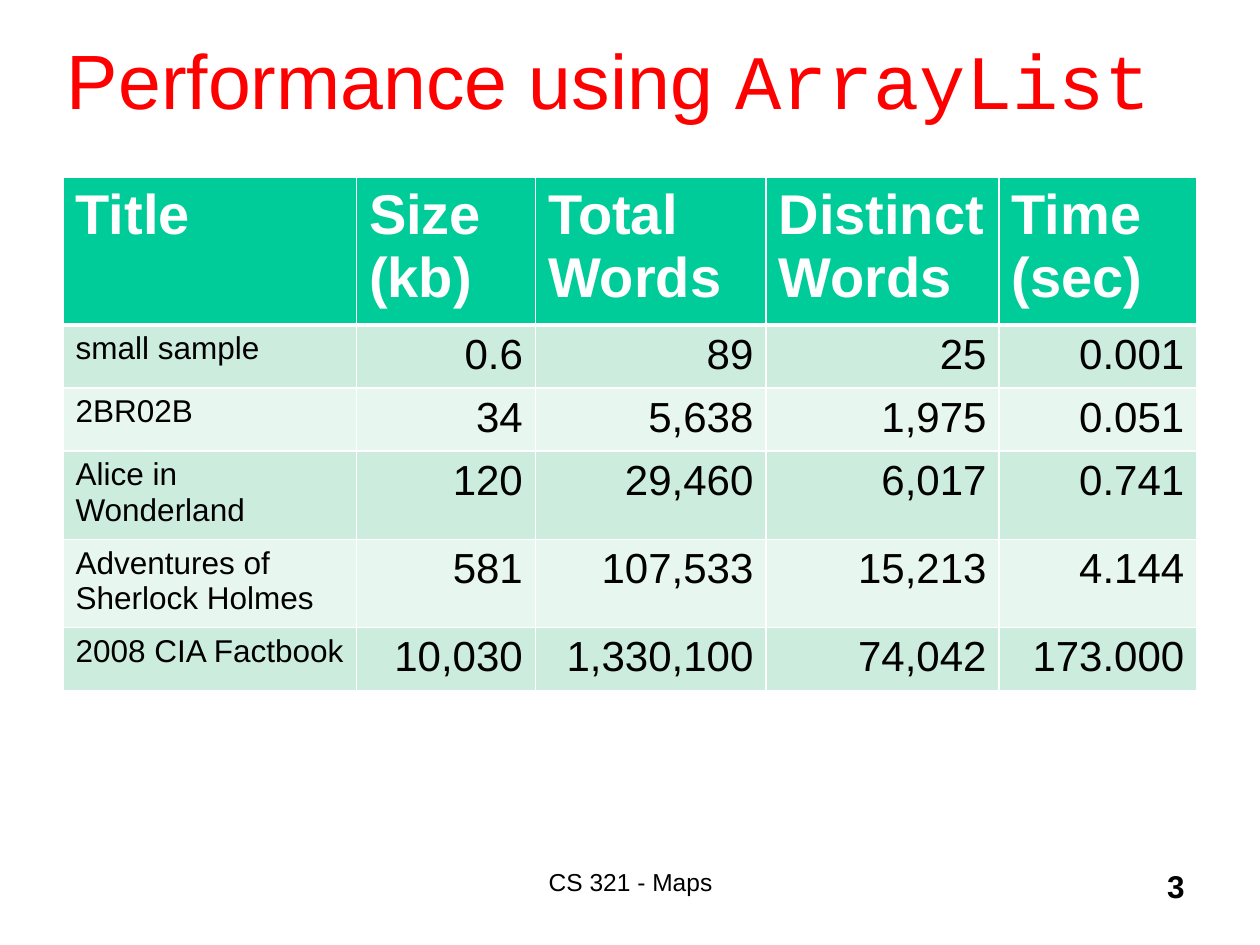
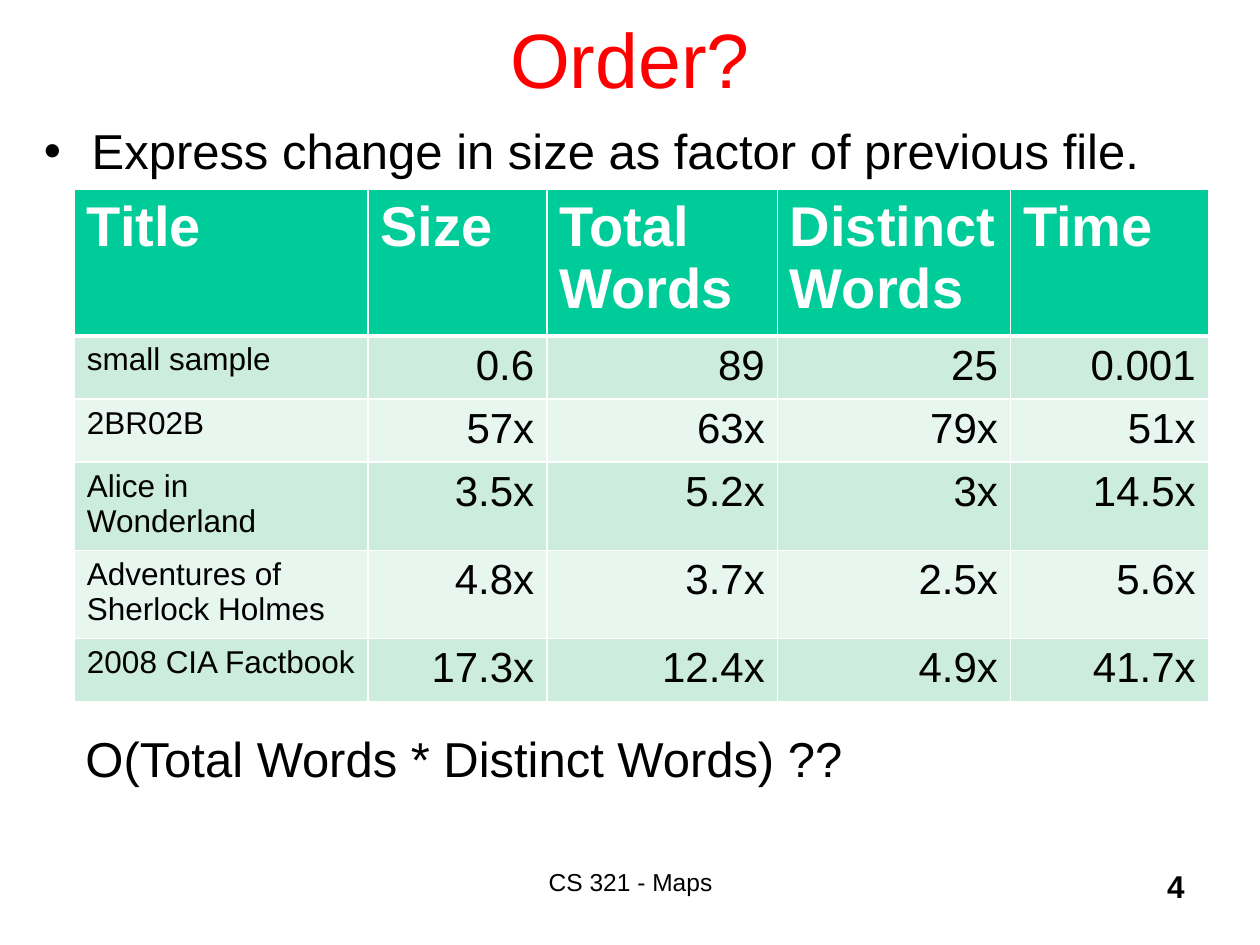
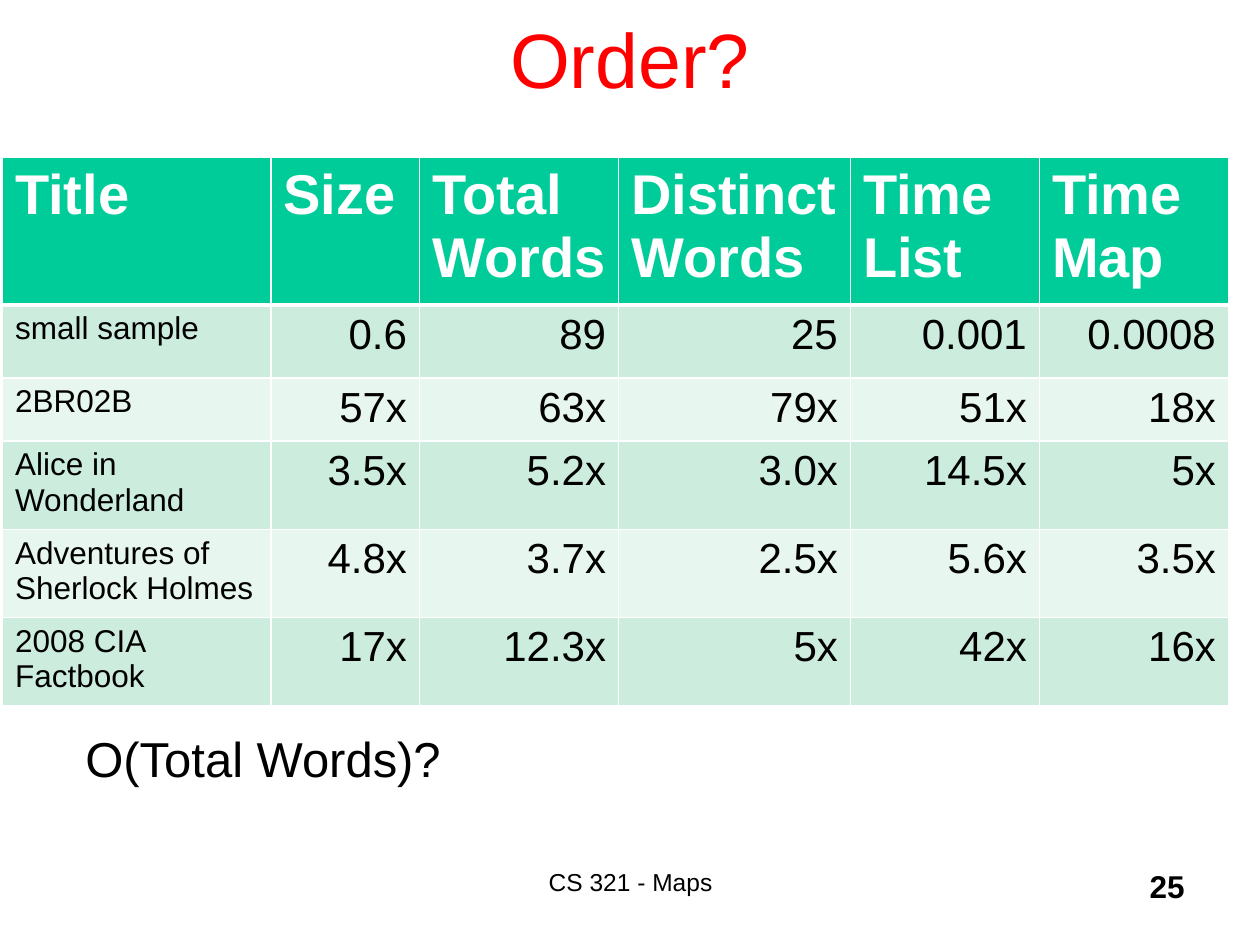
from lxml import etree
from pptx import Presentation
from pptx.dml.color import RGBColor
from pptx.enum.text import MSO_ANCHOR, MSO_AUTO_SIZE, PP_ALIGN
from pptx.oxml.ns import qn
from pptx.util import Inches, Pt

LEFT, MID, RIGHT = PP_ALIGN.LEFT, PP_ALIGN.CENTER, PP_ALIGN.RIGHT
CENTRE = MSO_ANCHOR.MIDDLE
FIXED, GROW = MSO_AUTO_SIZE.NONE, MSO_AUTO_SIZE.SHAPE_TO_FIT_TEXT

RED = RGBColor(0xFF, 0x00, 0x00)
BLACK = RGBColor(0x00, 0x00, 0x00)
WHITE = RGBColor(0xFF, 0xFF, 0xFF)
GREEN = RGBColor(0x00, 0xCC, 0x99)
PALE = RGBColor(0xCC, 0xEC, 0xDE)
LIGHT = RGBColor(0xE7, 0xF6, 0xEF)

SANS, MONO = "Arial", "Courier New"
FOOTER = "CS 321 - Maps"
BOOKS = ["small sample", "2BR02B", "Alice in Wonderland",
         "Adventures of Sherlock Holmes", "2008 CIA Factbook"]


def write(para, text, size=28, color=BLACK, font=SANS, bold=False,
          align=LEFT, lead=False):
    """Add text to a paragraph; a newline becomes a line break."""
    para.alignment = align
    if lead:  # space before, as a share of the line
        space = etree.Element(qn("a:spcBef"))
        etree.SubElement(space, qn("a:spcPct"), val="20000")
        para._p.get_or_add_pPr().insert(0, space)
    for i, line in enumerate(text.split("\n")):
        if i:
            para.add_line_break()
        run = para.add_run()
        run.text = line
        run.font.size, run.font.name, run.font.bold = Pt(size), font, bold
        run.font.color.rgb = color


def add_box(slide, left, top, width, height, wrap=True):
    """Add a text box and return its frame."""
    box = slide.shapes.add_textbox(
        Inches(left), Inches(top), Inches(width), Inches(height))
    box.text_frame.word_wrap = wrap
    return box.text_frame


# What differs from slide to slide
PAGES = [
    dict(number="3", title=("Performance using ", "ArrayList"),
         place=(0.17, 0, 9.33, 1.25), bullet=None, order=None,
         corner=(0.5, 1.41),
         widths=[2.33, 1.42, 1.83, 1.85, 1.57],
         heights=[1.17, 0.5, 0.5, 0.7, 0.7, 0.5],
         heads=["Title", "Size\n(kb)", "Total\nWords", "Distinct\nWords",
                "Time\n(sec)"],
         values=[["0.6", "89", "25", "0.001"],
                 ["34", "5,638", "1,975", "0.051"],
                 ["120", "29,460", "6,017", "0.741"],
                 ["581", "107,533", "15,213", "4.144"],
                 ["10,030", "1,330,100", "74,042", "173.000"]]),
    dict(number="4", title=("Order?", ""),
         place=(0.75, -0.17, 8.5, 1.25),
         bullet="Express change in size as factor of previous file.",
         order=("O(Total Words * Distinct Words) ??", 6.28),
         corner=(0.59, 1.5),
         widths=[2.33, 1.42, 1.83, 1.85, 1.57],
         heights=[1.16, 0.5, 0.5, 0.7, 0.7, 0.5],
         heads=["Title", "Size", "Total\nWords", "Distinct\nWords", "Time"],
         values=[["0.6", "89", "25", "0.001"],
                 ["57x", "63x", "79x", "51x"],
                 ["3.5x", "5.2x", "3x", "14.5x"],
                 ["4.8x", "3.7x", "2.5x", "5.6x"],
                 ["17.3x", "12.4x", "4.9x", "41.7x"]]),
    dict(number="25", title=("Order?", ""),
         place=(0.75, -0.17, 8.5, 1.25), bullet=None,
         order=("O(Total Words)?", 3.06),
         corner=(0.02, 1.25),
         widths=[2.13, 1.18, 1.58, 1.84, 1.5, 1.5],
         heights=[1.17, 0.58, 0.5, 0.7, 0.7, 0.7],
         heads=["Title", "Size", "Total\nWords", "Distinct\nWords",
                "Time\nList", "Time\nMap"],
         values=[["0.6", "89", "25", "0.001", "0.0008"],
                 ["57x", "63x", "79x", "51x", "18x"],
                 ["3.5x", "5.2x", "3.0x", "14.5x", "5x"],
                 ["4.8x", "3.7x", "2.5x", "5.6x", "3.5x"],
                 ["17x", "12.3x", "5x", "42x", "16x"]]),
]

deck = Presentation()
deck.slide_width, deck.slide_height = Inches(10), Inches(7.5)

for page in PAGES:
    slide = deck.slides.add_slide(deck.slide_layouts[5])

    # Title
    title = slide.shapes.title
    title.left, title.top, title.width, title.height = map(
        Inches, page["place"])
    frame = title.text_frame
    frame.auto_size, frame.vertical_anchor = FIXED, CENTRE
    words, code = page["title"]
    write(frame.paragraphs[0], words, size=44, color=RED, align=MID)
    if code:
        write(frame.paragraphs[0], code, size=44, color=RED, font=MONO,
              align=MID)

    # Bullet line
    if page["bullet"]:
        para = add_box(slide, 0.25, 0.91, 9.5, 6).paragraphs[0]
        write(para, page["bullet"], lead=True)
        props = para._p.get_or_add_pPr()
        props.set("marL", str(Inches(0.38)))
        props.set("indent", str(Inches(-0.38)))
        etree.SubElement(props, qn("a:buFont"), typeface=SANS)
        etree.SubElement(props, qn("a:buChar"), char="•")

    # Footer and slide number
    write(add_box(slide, 3.09, 6.83, 3.83, 0.5).paragraphs[0], FOOTER,
          size=14, align=MID)
    write(add_box(slide, 7.42, 6.83, 2.08, 0.5).paragraphs[0],
          page["number"], size=18, bold=True, align=RIGHT)

    # Table
    widths, heights = page["widths"], page["heights"]
    left, top = page["corner"]
    table = slide.shapes.add_table(
        len(heights), len(widths), Inches(left), Inches(top),
        Inches(sum(widths)), Inches(sum(heights))).table
    for col, width in zip(table.columns, widths):
        col.width = Inches(width)
    for row, height in zip(table.rows, heights):
        row.height = Inches(height)

    rows = [page["heads"]]
    rows += [[book, *line] for book, line in zip(BOOKS, page["values"])]
    for r, row in enumerate(rows):
        for c, text in enumerate(row):
            cell = table.cell(r, c)
            # White rules, thicker under the header
            for side in "LRTB":
                thick = (r, side) in [(0, "B"), (1, "T")]
                rule = etree.SubElement(
                    cell._tc.get_or_add_tcPr(), qn("a:ln" + side),
                    w=str(Pt(3 if thick else 1)))
                fill = etree.SubElement(rule, qn("a:solidFill"))
                etree.SubElement(fill, qn("a:srgbClr"), val=str(WHITE))
            cell.fill.solid()
            para = cell.text_frame.paragraphs[0]
            if r == 0:
                cell.fill.fore_color.rgb = GREEN
                write(para, text, size=32, color=WHITE, bold=True, lead=True)
            else:
                cell.fill.fore_color.rgb = PALE if r % 2 else LIGHT
                write(para, text, size=24 if c else 18,
                      align=RIGHT if c else LEFT, lead=True)

    # Estimated order
    if page["order"]:
        text, width = page["order"]
        frame = add_box(slide, 0.58, 5.73, width, 0.57, wrap=False)
        frame.auto_size = GROW
        write(frame.paragraphs[0], text, lead=True)

deck.save("out.pptx")
